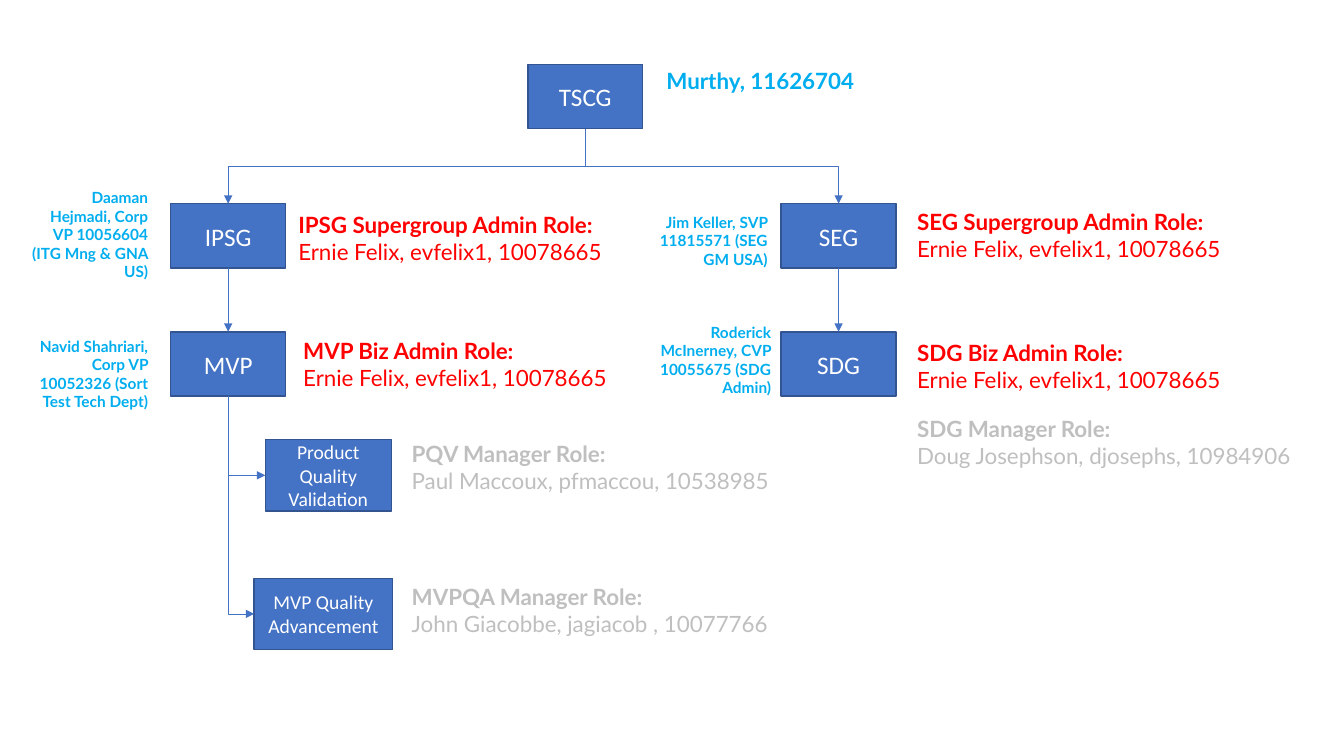
from lxml import etree
from pptx import Presentation
from pptx.dml.color import RGBColor
from pptx.enum import shapes, text
from pptx.oxml import ns
from pptx.util import Pt

BLUE = RGBColor(0x44, 0x72, 0xC4)
EDGE = RGBColor(0x32, 0x54, 0x91)
WHITE = RGBColor(0xFF, 0xFF, 0xFF)
RED = RGBColor(0xFF, 0x00, 0x00)
GRAY = RGBColor(0xBF, 0xBF, 0xBF)
CYAN = RGBColor(0x00, 0xAE, 0xEF)

TOP, LEFT, BOTTOM = 0, 1, 2  # connection sites of a rectangle
ADMIN = "Ernie Felix, evfelix1, 10078665"


class Chart:
    """Draws the parts of an organisation chart on one slide."""

    def __init__(self, slide):
        self.shapes = slide.shapes

    def font(self, para, name, size, color, bold=False):
        font = para.font
        font.name, font.size, font.bold = name, Pt(size), bold
        font.color.rgb = color

    def box(self, label, x, y, w=82, h=46, size=18):
        box = self.shapes.add_shape(
            shapes.MSO_SHAPE.RECTANGLE, Pt(x), Pt(y), Pt(w), Pt(h))
        box.shadow.inherit = False
        box.fill.solid()
        box.fill.fore_color.rgb = BLUE
        box.line.color.rgb = EDGE
        box.line.width = Pt(1)
        frame = box.text_frame
        frame.text = label
        frame.word_wrap = True
        frame.vertical_anchor = text.MSO_ANCHOR.MIDDLE
        para = frame.paragraphs[0]
        para.alignment = text.PP_ALIGN.CENTER
        self.font(para, "Calibri", size, WHITE)
        return box

    def note(self, lines, x, y, w, h, color, size=16,
             align=text.PP_ALIGN.LEFT):
        """Text box whose first line is bold."""
        frame = self.shapes.add_textbox(
            Pt(x), Pt(y), Pt(w), Pt(h)).text_frame
        frame.word_wrap = True
        frame.auto_size = text.MSO_AUTO_SIZE.SHAPE_TO_FIT_TEXT
        frame.text = "\n".join(lines)
        for i, para in enumerate(frame.paragraphs):
            para.alignment = align
            self.font(para, "Lato", size, color, bold=i == 0)

    def role(self, title, person, x, y, color=RED):
        self.note([title, person], x, y, 310, 46, color)

    def head(self, words, x, y, h):
        self.note([words], x, y, 99.5, h, CYAN, 11, text.PP_ALIGN.RIGHT)

    def link(self, upper, lower, site=TOP):
        """Elbow arrow that leaves the upper box downwards."""
        line = self.shapes.add_connector(
            shapes.MSO_CONNECTOR.ELBOW, 0, 0, 0, 0)
        line.begin_connect(upper, BOTTOM)
        line.end_connect(lower, site)
        x1, y1, x2, y2 = line.begin_x, line.begin_y, line.end_x, line.end_y
        wide, tall = abs(x2 - x1), y2 - y1
        # A turned elbow is stored with its sides swapped about its centre
        line.left = (x1 + x2 - tall) // 2
        line.top = (y1 + y2 - wide) // 2
        line.width, line.height = tall, wide
        right = x2 > x1
        props = line._element.spPr
        frame = props.find(ns.qn("a:xfrm"))
        frame.set("rot", str((270 if right else 90) * 60000))
        frame.set("flipH", "1" if right else "0")
        frame.set("flipV", "0")
        if site == LEFT:
            props.find(ns.qn("a:prstGeom")).set("prst", "bentConnector2")
        line.line.color.rgb = BLUE
        line.line.width = Pt(0.5)
        tail = etree.SubElement(line.line._get_or_add_ln(),
                                ns.qn("a:tailEnd"))
        tail.set("type", "triangle")
        etree.SubElement(props, ns.qn("a:effectLst"))


def main():
    deck = Presentation()
    deck.slide_width, deck.slide_height = Pt(960), Pt(540)
    chart = Chart(deck.slides.add_slide(deck.slide_layouts[6]))

    tscg = chart.box("TSCG", 377, 46)
    ipsg = chart.box("IPSG", 122, 145.5)
    seg = chart.box("SEG", 558, 145.5)
    mvp = chart.box("MVP", 122, 237)
    sdg = chart.box("SDG", 558, 237)
    mvpqa = chart.box("MVP Quality Advancement", 181.5, 413, 99, 51, 14)
    pqv = chart.box("Product Quality Validation", 189.5, 314, 90, 51, 14)

    for upper, lower in ((tscg, seg), (tscg, ipsg), (ipsg, mvp), (seg, sdg)):
        chart.link(upper, lower)
    for lower in (mvpqa, pqv):
        chart.link(mvp, lower, LEFT)

    chart.role("PQV Manager Role:", "Paul Maccoux, pfmaccou, 10538985",
               287, 311, GRAY)
    chart.role("MVPQA Manager Role:", "John Giacobbe, jagiacob , 10077766",
               287, 413, GRAY)
    chart.role("SDG Manager Role:", "Doug Josephson, djosephs, 10984906",
               648, 293, GRAY)
    chart.role("MVP Biz Admin Role:", ADMIN, 209.5, 237)
    chart.role("SDG Biz Admin Role:", ADMIN, 648, 239)
    chart.role("IPSG Supergroup Admin Role:", ADMIN, 206, 147)
    chart.role("SEG Supergroup Admin Role:", ADMIN, 648, 145)

    chart.note(["Murthy, 11626704"], 469, 44.5, 302, 26.5, CYAN)
    chart.head("Daaman Hejmadi, Corp VP 10056604 (ITG Mng & GNA US)",
               13.5, 131, 74)
    chart.head("Navid Shahriari, Corp VP 10052326 (Sort Test Tech Dept)",
               13.5, 237, 60.5)
    chart.head("Jim Keller, SVP 11815571 (SEG GM USA)", 456, 148.5, 47.5)
    chart.head("Roderick McInerney, CVP 10055675 (SDG Admin)",
               458.5, 227, 60.5)

    deck.save("out.pptx")


if __name__ == "__main__":
    main()
